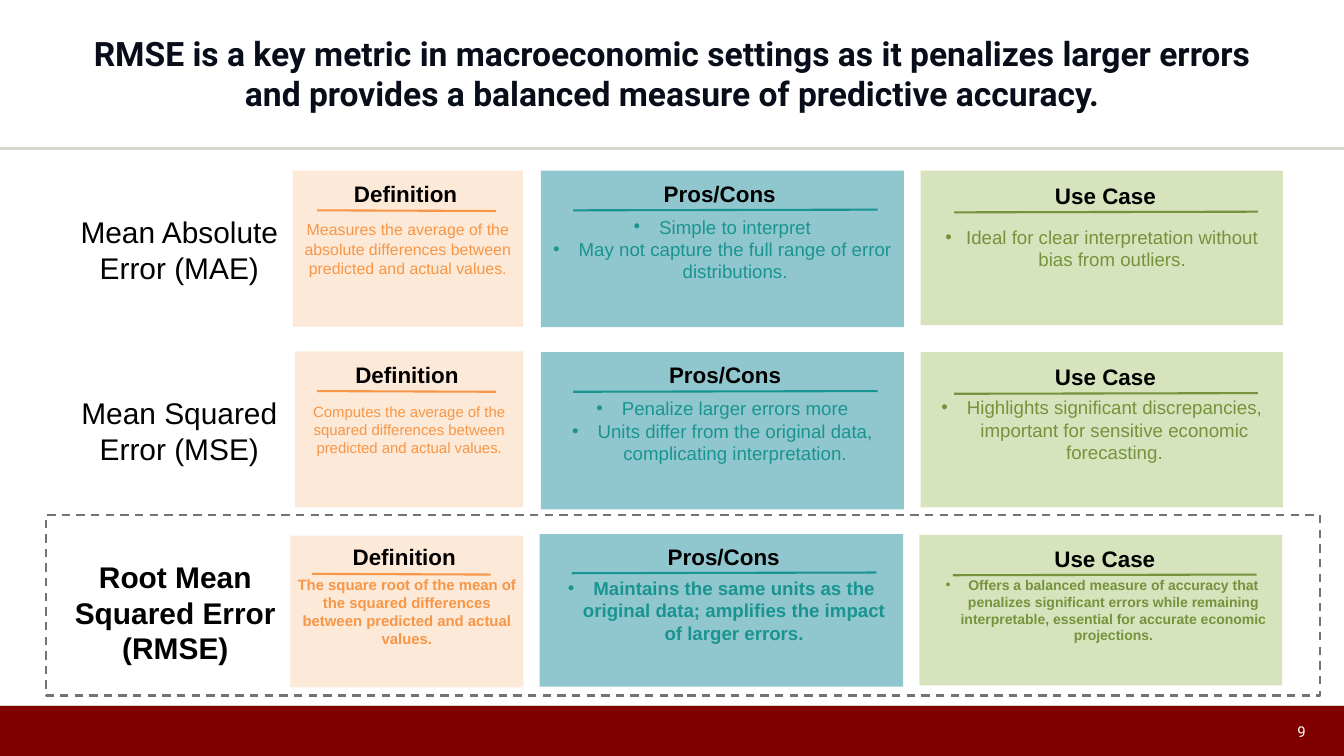
import pptx
import pptx.util
import pptx.dml.color
import pptx.enum.dml
import pptx.enum.shapes
import pptx.enum.text
import pptx.oxml.ns
import lxml.etree

SCALE = 9144  # EMU per px, 100 px to the inch
INK = {
    "title": "080D1A", "text": "000000", "white": "FFFFFF", "foot": "800000",
    "rule": "D6D6CE", "dash": "737373",
    "peach": "FDE9D8", "orange": "F79646",
    "aqua": "90C7CE", "teal": "1A9490",
    "lime": "D6E3BC", "olive": "76923C",
}
ALIGN = pptx.enum.text.PP_ALIGN
ANCHOR = pptx.enum.text.MSO_ANCHOR
FIT = pptx.enum.text.MSO_AUTO_SIZE


def px(n):
    return pptx.util.Emu(n * SCALE)


def rgb(name):
    return pptx.dml.color.RGBColor.from_string(INK[name])


def sub(parent, tag, **attrs):
    return lxml.etree.SubElement(parent, pptx.oxml.ns.qn(tag), **attrs)


class Page:
    font = "Arial"

    def __init__(self, deck):
        self.slide = deck.slides.add_slide(deck.slide_layouts[5])
        self.shapes = self.slide.shapes

    def label(self, shape, lines, size, ink, bold=False, font=None,
              align=ALIGN.CENTER, anchor=ANCHOR.TOP, pad=(10, 5), indent=None):
        """Fill a shape with paragraphs; indent is (left, hang) of bullets."""
        frame = shape.text_frame
        frame.word_wrap = True
        frame.auto_size = FIT.NONE
        frame.vertical_anchor = anchor
        frame.margin_left = frame.margin_right = px(pad[0])
        frame.margin_top = frame.margin_bottom = px(pad[1])
        frame.text = "\n".join(lines)
        for para in frame.paragraphs:
            para.alignment = align
            if indent:
                self.bullet(para, indent, ink)
            for run in para.runs:
                run.font.name = font or self.font
                run.font.size = pptx.util.Pt(size)
                run.font.bold = bold
                run.font.color.rgb = rgb(ink)

    def bullet(self, para, indent, ink):
        left, hang = indent
        props = para._p.get_or_add_pPr()
        props.set("marL", str(px(left)))
        props.set("indent", str(-px(hang)))
        sub(sub(props, "a:buClr"), "a:srgbClr", val=INK[ink])
        sub(props, "a:buFont", typeface=self.font)
        sub(props, "a:buChar", char="•")

    def title(self, text, box):
        shape = self.shapes.title
        shape.left, shape.top, shape.width, shape.height = map(px, box)
        self.label(shape, [text], 36, "title", True, "Roboto",
                   anchor=ANCHOR.MIDDLE, pad=(0, 10))

    def text(self, text, box, size, ink="text", **style):
        self.label(self.shapes.add_textbox(*map(px, box)), [text], size, ink, **style)

    def rect(self, box, fill):
        kind = pptx.enum.shapes.MSO_SHAPE.RECTANGLE
        shape = self.shapes.add_shape(kind, *map(px, box))
        shape.shadow.inherit = False
        shape.fill.solid()
        shape.fill.fore_color.rgb = rgb(fill)
        shape.line.fill.background()
        return shape

    def frame(self, box, ink):
        shape = self.rect(box, "white")
        shape.fill.background()
        shape.line.color.rgb = rgb(ink)
        shape.line.width = pptx.util.Pt(2.25)
        shape.line.dash_style = pptx.enum.dml.MSO_LINE.DASH

    def line(self, start, end, ink, width=2.25):
        kind = pptx.enum.shapes.MSO_CONNECTOR.STRAIGHT
        line = self.shapes.add_connector(kind, *map(px, start + end))
        line.line.color.rgb = rgb(ink)
        line.line.width = pptx.util.Pt(width)
        sub(line._element.spPr, "a:effectLst")

    def card(self, column, cell, bold):
        head, fill, ink, span, wide, rise = column
        box, (x, y), left, size, indent, lines = cell
        self.label(self.rect(box, fill), lines, size, ink, bold,
                   anchor=ANCHOR.MIDDLE, indent=indent)
        self.line((x, y), (x + span, y + rise), ink)
        self.text(head, (left, y - 50, wide, 50), 24, bold=True)


# heading, fill, ink, rule length, heading width, rule rise
COLUMNS = [
    ("Definition", "peach", "orange", 266, 209, 1),
    ("Pros/Cons", "aqua", "teal", 453, 354, -1),
    ("Use Case", "lime", "olive", 452, 354, -1),
]
# name, name box, bold, then per column:
# card box, rule start, heading left, text size, bullet indent, lines
ROWS = [
    ("Mean Absolute Error (MAE)", (97, 313, 340, 118), False, [
        ((436, 254, 342, 232), (472, 313), 499, 17, None,
         ["Measures the average of the absolute differences between "
          "predicted and actual values."]),
        ((805, 254, 540, 233), (853, 313), 894, 20, (38, 38),
         ["Simple to interpret",
          "May not capture the full range of error distributions."]),
        ((1370, 254, 539, 230), (1420, 316), 1468, 20, (31, 31),
         ["Ideal for clear interpretation without bias from outliers."]),
    ]),
    ("Mean Squared Error (MSE)", (97, 583, 340, 118), False, [
        ((439, 523, 340, 232), (472, 582), 501, 16, None,
         ["Computes the average of the squared differences between "
          "predicted and actual values."]),
        ((805, 524, 540, 234), (853, 583), 902, 20, (38, 38),
         ["Penalize larger errors more",
          "Units differ from the original data, complicating interpretation."]),
        ((1370, 524, 539, 231), (1420, 586), 1468, 20, (38, 38),
         ["Highlights significant discrepancies, important for sensitive "
          "economic forecasting."]),
    ]),
    ("Root Mean Squared Error (RMSE)", (91, 826, 340, 172), True, [
        ((432, 797, 347, 226), (464, 854), 497, 16, None,
         ["The square root of the mean of the squared differences between "
          "predicted and actual values."]),
        ((803, 795, 541, 227), (851, 853), 900, 20, (38, 38),
         ["Maintains the same units as the original data; amplifies the "
          "impact of larger errors."]),
        ((1368, 796, 540, 224), (1418, 856), 1467, 15, (38, 34),
         ["Offers a balanced measure of accuracy that penalizes significant "
          "errors while remaining interpretable, essential for accurate "
          "economic projections."]),
    ]),
]


def main():
    deck = pptx.Presentation()
    deck.slide_width, deck.slide_height = px(2000), px(1125)
    page = Page(deck)

    page.rect((0, 1050, 2000, 75), "foot")
    page.line((0, 1049), (2000, 1049), "rule", 0.75)
    page.line((0, 221), (2000, 221), "rule", 3)
    page.title("RMSE is a key metric in macroeconomic settings as it penalizes "
               "larger errors and provides a balanced measure of predictive "
               "accuracy.", (99, 0, 1803, 217))
    page.text("9", (1862, 1059, 101, 60), 16, "white", font="Roboto",
              align=ALIGN.RIGHT, anchor=ANCHOR.MIDDLE, pad=(20, 10))

    for name, box, bold, cells in ROWS:
        page.text(name, box, 32, bold=bold)
        for column, cell in zip(COLUMNS, cells):
            page.card(column, cell, bold)
    page.frame((68, 766, 1896, 269), "dash")

    deck.save("out.pptx")


if __name__ == "__main__":
    main()
